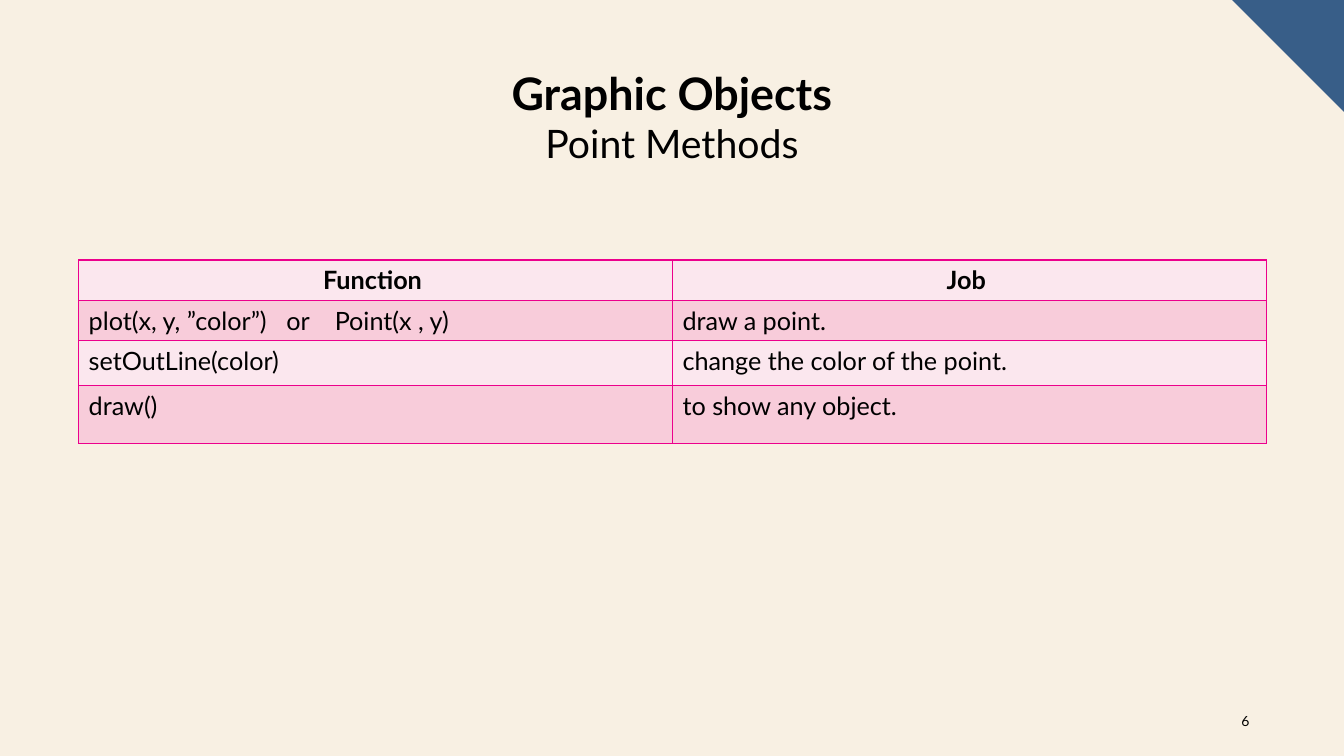
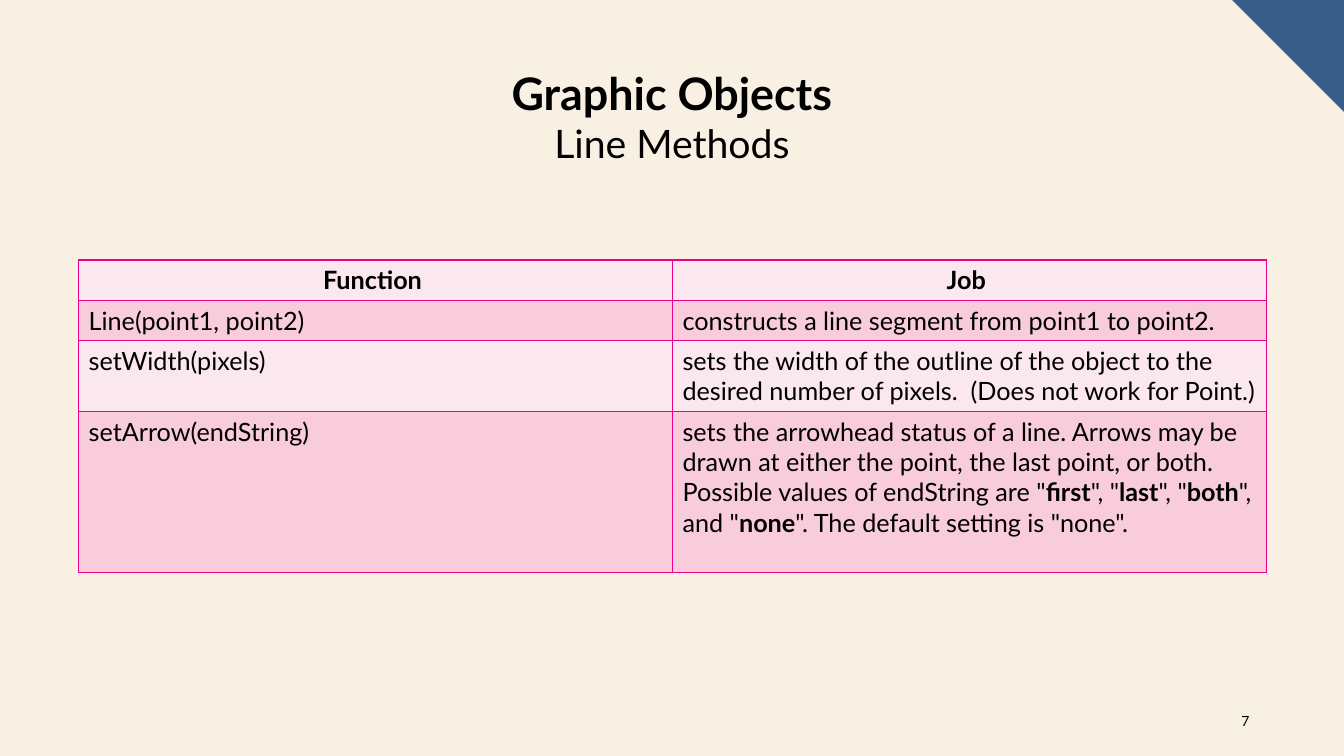
"""Build two slides listing the methods of graphic objects."""
from lxml.etree import SubElement
from pptx import Presentation
from pptx.dml.color import RGBColor
from pptx.enum.text import MSO_ANCHOR as Anchor, PP_ALIGN as Align
from pptx.oxml.ns import qn
from pptx.util import Inches, Pt

COLORS = {
    "background": "F8F0E3",
    "corner": "385E88",
    "text": "000000",
    "border": "EC008C",
    "light row": "FBE7EE",
    "dark row": "F8CCDA",
}
FONT = "Lato"
SLIDE_WIDTH, SLIDE_HEIGHT = 13.33, 7.5
CORNER_SIZE = 1.11
COLUMN_WIDTH = 5.89
HEADER = ("Function ", "Job ")
TAB_STOPS = (1.96, 2.44)

SLIDES = [
    {
        "number": 6,
        "subtitle": "Point Methods",
        "heights": (0.4, 0.4, 0.44, 0.58),
        "rows": [
            ("plot(x, y, ”color”)\tor\tPoint(x , y)", "draw a point."),
            ("setOutLine(color)", "change the color of the point."),
            ("draw()", "to show any object."),
        ],
    },
    {
        "number": 7,
        "subtitle": "Line Methods",
        "heights": (0.4, 0.4, 0.7, 1.6),
        "rows": [
            ("Line(point1, point2)", "constructs a line segment from point1 to point2."),
            ("setWidth(pixels)",
             "sets the width of the outline of the object to the desired "
             "number of pixels.  (Does not work for Point.)"),
            ("setArrow(endString)",
             "sets the arrowhead status of a line. Arrows may be drawn at either "
             "the point, the last point, or both. Possible values of endString are "
             '"*first*", "*last*", "*both*", and "*none*". '
             'The default setting is "none".'),
        ],
    },
]


def color(name):
    """Return the named palette colour."""
    return RGBColor.from_string(COLORS[name])


def set_tab_stops(paragraph):
    """Give a paragraph the shared left tab stops."""
    tab_list = SubElement(paragraph._p.get_or_add_pPr(), qn("a:tabLst"))
    for position in TAB_STOPS:
        SubElement(tab_list, qn("a:tab"), pos=str(Inches(position)), algn="l")


def write_paragraph(paragraph, text, size, align=Align.LEFT, bold=False):
    """Write text in a paragraph, with parts between asterisks in bold."""
    paragraph.alignment = align
    if "\t" in text:
        set_tab_stops(paragraph)
    for index, part in enumerate(text.split("*")):
        run = paragraph.add_run()
        run.text = part
        formats = {"name": FONT, "size": Pt(size), "bold": bold or index % 2 == 1}
        for attribute, value in formats.items():
            setattr(run.font, attribute, value)
        run.font.color.rgb = color("text")


def add_text(slide, box, lines, align):
    """Add a middle-anchored text box with (text, size, bold) lines."""
    frame = slide.shapes.add_textbox(*map(Inches, box)).text_frame
    frame.word_wrap = True
    frame.vertical_anchor = Anchor.MIDDLE
    for index, (text, size, bold) in enumerate(lines):
        paragraph = frame.add_paragraph() if index else frame.paragraphs[0]
        write_paragraph(paragraph, text, size, align, bold)


def add_corner(slide):
    """Add the triangle in the top right corner."""
    left = SLIDE_WIDTH - CORNER_SIZE
    builder = slide.shapes.build_freeform(Inches(left), 0)
    builder.add_line_segments([
        (Inches(SLIDE_WIDTH), 0),
        (Inches(SLIDE_WIDTH), Inches(CORNER_SIZE)),
    ])
    shape = builder.convert_to_shape()
    shape.shadow.inherit = False
    shape.fill.solid()
    shape.fill.fore_color.rgb = color("corner")
    shape.line.fill.background()


def set_borders(cell):
    """Draw a thin line on all four sides of a cell."""
    properties = cell._tc.get_or_add_tcPr()
    for side in ("lnL", "lnR", "lnT", "lnB"):
        line = SubElement(properties, qn(f"a:{side}"), w=str(Pt(1)))
        fill = SubElement(line, qn("a:solidFill"))
        SubElement(fill, qn("a:srgbClr"), val=COLORS["border"])


def add_method_table(slide, rows, heights):
    """Add the two-column table of functions and their jobs."""
    contents = [HEADER, *rows]
    box = (0.78, 2.58, COLUMN_WIDTH * len(HEADER), sum(heights))
    table = slide.shapes.add_table(
        len(contents), len(HEADER), *map(Inches, box)).table
    table.horz_banding = False
    for column in table.columns:
        column.width = Inches(COLUMN_WIDTH)
    for row_index, (texts, height) in enumerate(zip(contents, heights)):
        table.rows[row_index].height = Inches(height)
        is_header = row_index == 0
        for column_index, text in enumerate(texts):
            cell = table.cell(row_index, column_index)
            set_borders(cell)
            cell.fill.solid()
            cell.fill.fore_color.rgb = color("dark row" if row_index % 2 else "light row")
            write_paragraph(cell.text_frame.paragraphs[0], text, 18,
                            Align.CENTER if is_header else Align.LEFT, is_header)


def add_method_slide(presentation, content):
    """Add one slide with its corner, number, table and title."""
    slide = presentation.slides.add_slide(presentation.slide_layouts[6])
    add_corner(slide)
    add_text(slide, (11.99, 6.95, 0.5, 0.4),
             [(str(content["number"]), 10, False)], Align.RIGHT)
    add_method_table(slide, content["rows"], content["heights"])
    add_text(slide, (2.13, 0.87, 9.07, 0.57),
             [("Graphic Objects", 32, True), (content["subtitle"], 28, False)],
             Align.CENTER)


def main():
    """Build and save the presentation."""
    presentation = Presentation()
    presentation.slide_width = Inches(SLIDE_WIDTH)
    presentation.slide_height = Inches(SLIDE_HEIGHT)
    background = presentation.slide_master.background.fill
    background.solid()
    background.fore_color.rgb = color("background")
    for content in SLIDES:
        add_method_slide(presentation, content)
    presentation.save("out.pptx")


if __name__ == "__main__":
    main()
